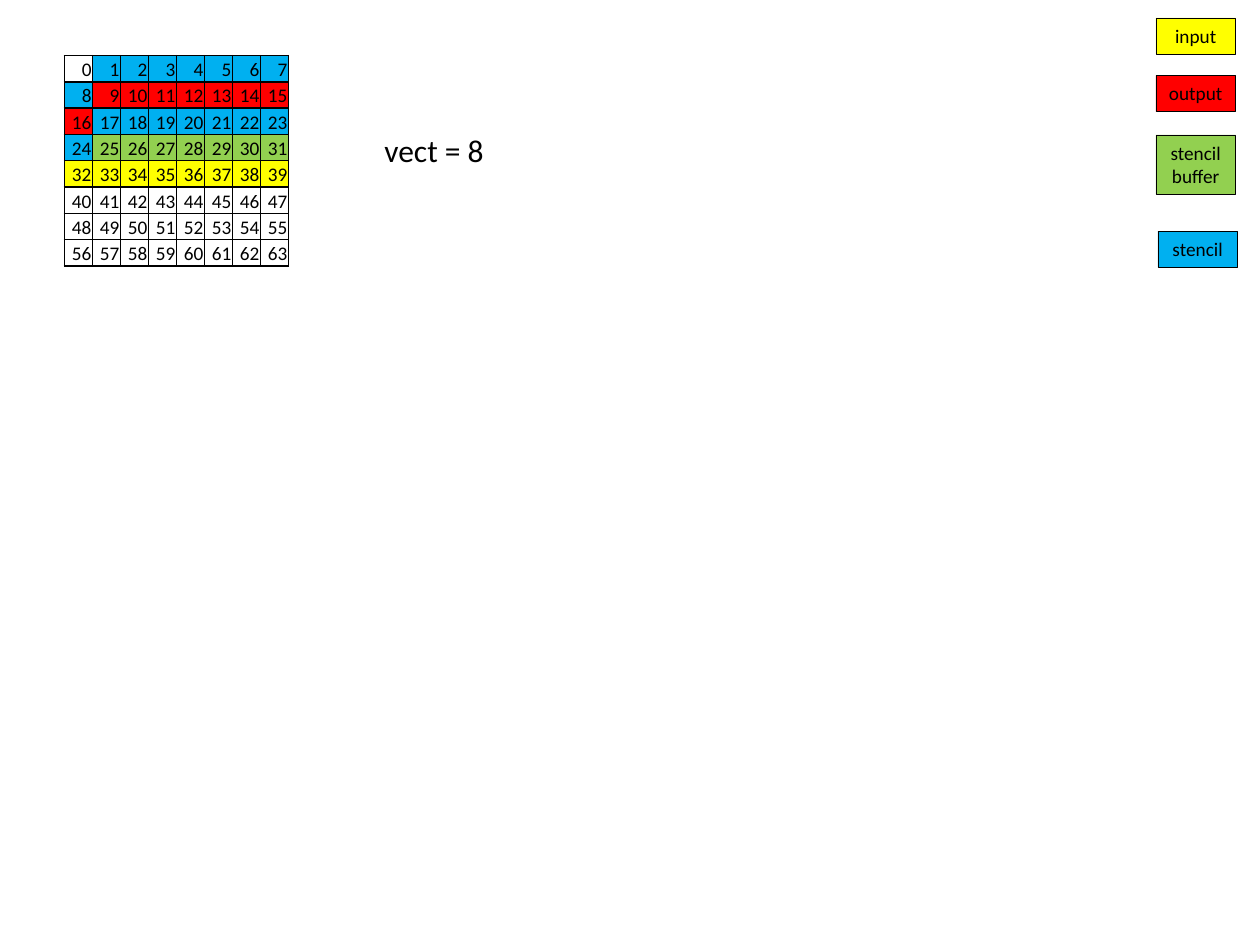
from dataclasses import dataclass

from lxml import etree
from pptx import Presentation
from pptx import util as u
from pptx.dml.color import RGBColor
from pptx.enum import shapes, text
from pptx.oxml import ns


@dataclass(frozen=True)
class Theme:
    font: str = "Calibri"
    ink: str = "000000"
    plain: str = "FFFFFF"
    input: str = "FFFF00"
    output: str = "FF0000"
    buffer: str = "92D050"
    stencil: str = "00B0F0"
    label_size: int = 11
    note_size: int = 18
    outline: float = 0.25
    grid_line: float = 1


class StencilSlide:
    def __init__(self, slide, theme):
        self.slide = slide
        self.theme = theme

    def set_wording(self, frame, wording, size, align):
        frame.text = wording
        for paragraph in frame.paragraphs:
            paragraph.alignment = align
            for run in paragraph.runs:
                run.font.name = self.theme.font
                run.font.size = u.Pt(size)
                run.font.color.rgb = RGBColor.from_string(self.theme.ink)

    def border(self, cell):
        properties = cell._tc.get_or_add_tcPr()
        for position, side in enumerate(("lnL", "lnR", "lnT", "lnB")):
            line = etree.Element(ns.qn(f"a:{side}"), w=str(u.Pt(self.theme.grid_line)))
            fill = etree.SubElement(line, ns.qn("a:solidFill"))
            etree.SubElement(fill, ns.qn("a:srgbClr"), val=self.theme.ink)
            properties.insert(position, line)

    def grid(self, left, top, width, height, count, cell_colors):
        table = self.slide.shapes.add_table(
            count, count, u.Cm(left), u.Cm(top), u.Cm(width), u.Cm(height)
        ).table
        table.first_row = table.horz_banding = False
        for index, (cell, color) in enumerate(zip(table.iter_cells(), cell_colors)):
            cell.margin_left = cell.margin_right = cell.margin_top = u.Cm(0.02)
            cell.margin_bottom = 0
            cell.vertical_anchor = text.MSO_ANCHOR.BOTTOM
            self.set_wording(
                cell.text_frame, str(index), self.theme.label_size, text.PP_ALIGN.RIGHT
            )
            cell.fill.solid()
            cell.fill.fore_color.rgb = RGBColor.from_string(color)
            self.border(cell)

    def legend(self, left, top, width, height, wording, color):
        key = self.slide.shapes.add_shape(
            shapes.MSO_SHAPE.RECTANGLE, u.Cm(left), u.Cm(top), u.Cm(width), u.Cm(height)
        )
        key.shadow.inherit = False
        key.fill.solid()
        key.fill.fore_color.rgb = RGBColor.from_string(color)
        key.line.color.rgb = RGBColor.from_string(self.theme.ink)
        key.line.width = u.Pt(self.theme.outline)
        frame = key.text_frame
        frame.word_wrap = True
        frame.vertical_anchor = text.MSO_ANCHOR.TOP
        frame.auto_size = text.MSO_AUTO_SIZE.SHAPE_TO_FIT_TEXT
        self.set_wording(frame, wording, self.theme.label_size, text.PP_ALIGN.CENTER)

    def note(self, left, top, width, height, wording):
        frame = self.slide.shapes.add_textbox(
            u.Cm(left), u.Cm(top), u.Cm(width), u.Cm(height)
        ).text_frame
        frame.word_wrap = False
        frame.auto_size = text.MSO_AUTO_SIZE.SHAPE_TO_FIT_TEXT
        self.set_wording(frame, wording, self.theme.note_size, text.PP_ALIGN.LEFT)


def main():
    """Build the slide of an 8 by 8 stencil computed with vector length 8."""
    theme = Theme()
    deck = Presentation()
    deck.slide_width, deck.slide_height = u.Cm(25.4), u.Cm(19.05)
    page = StencilSlide(deck.slides.add_slide(deck.slide_layouts[6]), theme)

    cell_colors = (
        [theme.plain]
        + [theme.stencil] * 8
        + [theme.output] * 8
        + [theme.stencil] * 8
        + [theme.buffer] * 7
        + [theme.input] * 8
        + [theme.plain] * 24
    )
    page.grid(1.3, 1.12, 4.52, 4.24, 8, cell_colors)

    for left, top, height, role, color in (
        (23.3, 0.36, 0.73, "input", theme.input),
        (23.3, 1.52, 0.73, "output", theme.output),
        (23.3, 2.72, 1.2, "stencil buffer", theme.buffer),
        (23.34, 4.66, 0.73, "stencil", theme.stencil),
    ):
        page.legend(left, top, 1.61, height, role, color)

    page.note(7.5, 2.52, 2.54, 1.03, "vect = 8")
    deck.save("out.pptx")


if __name__ == "__main__":
    main()
